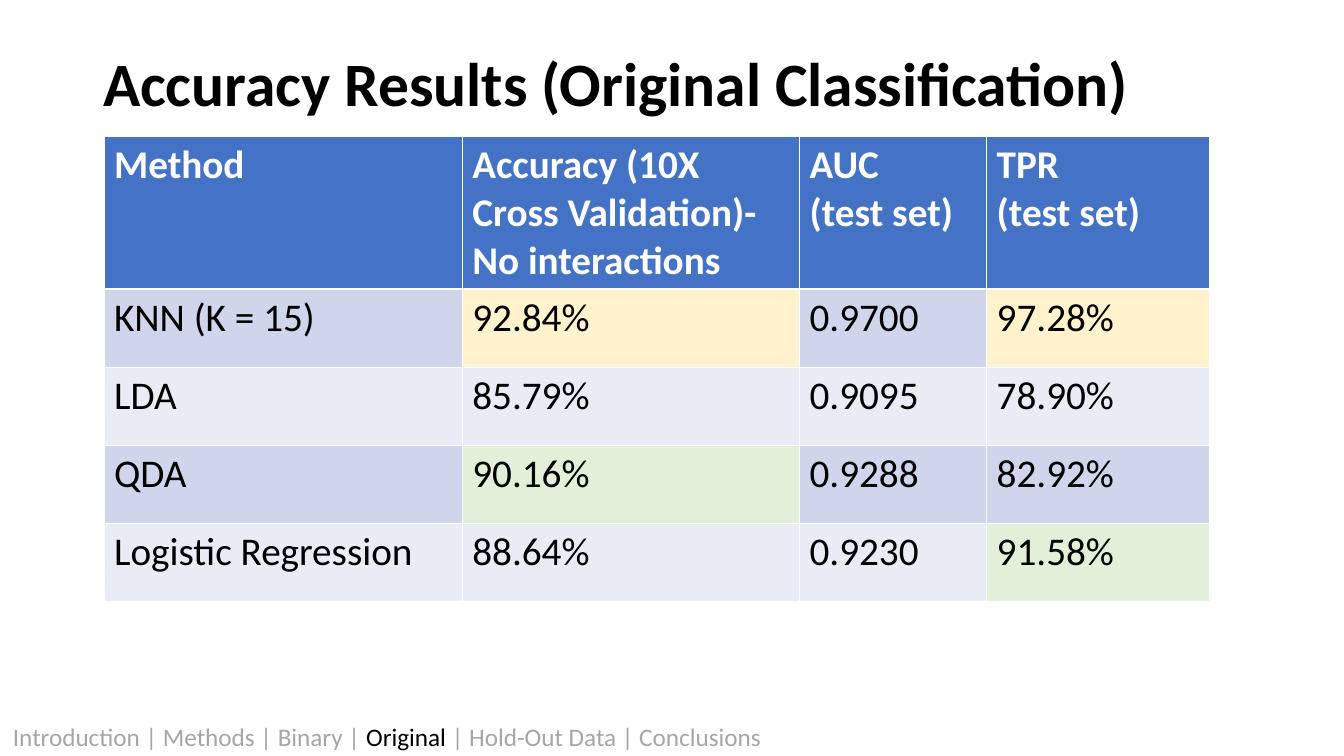
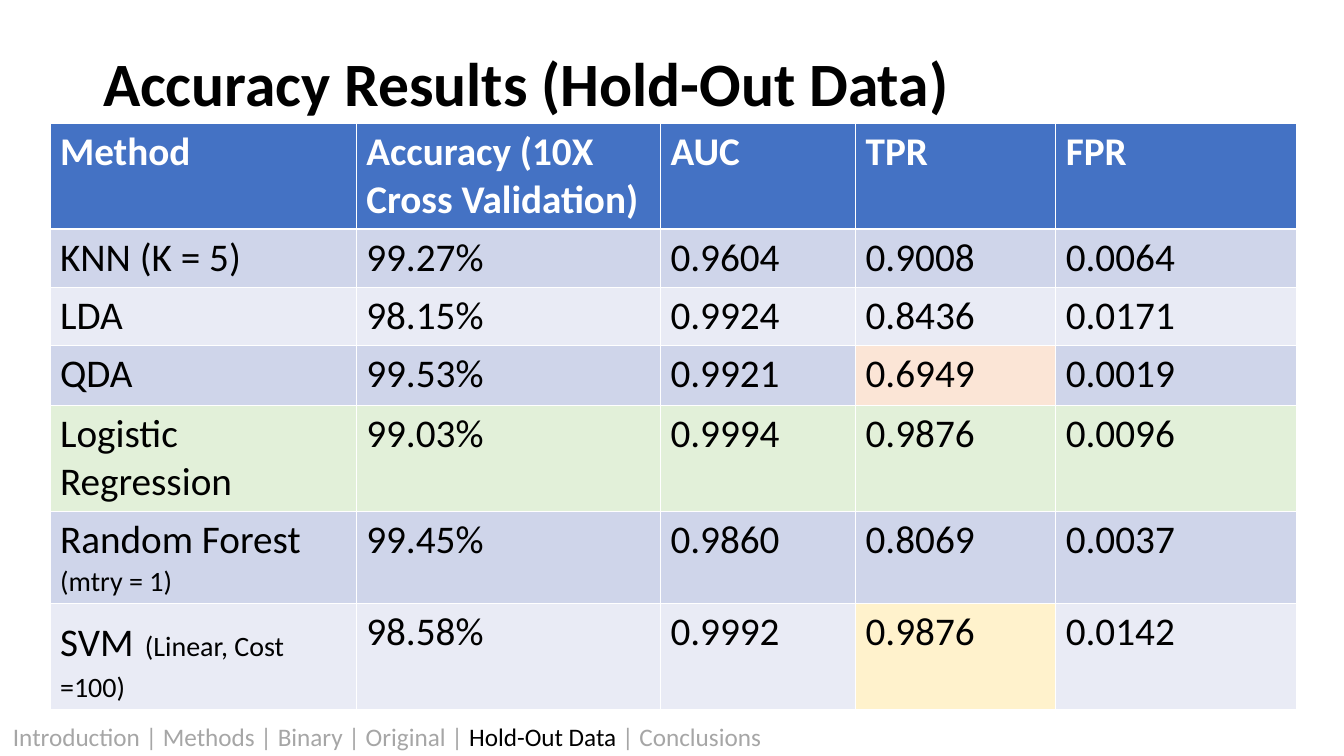
from lxml.etree import SubElement
from pptx import Presentation
from pptx.dml.color import RGBColor
from pptx.enum.text import MSO_ANCHOR, MSO_AUTO_SIZE
from pptx.oxml.ns import qn
from pptx.util import Pt

PX = 9080  # EMU in one px
FONT = "Calibri"
HUES = {
    "ink": "000000", "white": "FFFFFF", "mute": "A6A6A6", "head": "4472C4",
    "dark": "CFD5EA", "pale": "E9EBF5",
    "gold": "FFF2CC", "green": "E2F0D9", "red": "FBE5D6",
}
PARTS = ["Introduction", "Methods", "Binary", "Original", "Hold-Out Data", "Conclusions"]


def hue(name):
    return RGBColor.from_string(HUES[name])


class Deck:
    def __init__(self, wide, high):
        self.prs = Presentation()
        self.prs.slide_width, self.prs.slide_height = wide * PX, high * PX
        self.slide = None

    def page(self, title, part):
        """Start a slide with its title and its section footer."""
        self.slide = self.prs.slides.add_slide(self.prs.slide_layouts[6])
        frame = self.box(93, 13, 1158, 146)
        frame.vertical_anchor = MSO_ANCHOR.MIDDLE
        para = frame.paragraphs[0]
        para.line_spacing = 0.9
        self.put(para, title, 44, "ink", True)
        self.trail(part)

    def box(self, left, top, wide, high):
        shape = self.slide.shapes.add_textbox(left * PX, top * PX, wide * PX, high * PX)
        shape.text_frame.word_wrap = True
        return shape.text_frame

    def style(self, para, size, tint, bold=False):
        font = para.font
        font.name, font.size, font.bold = FONT, Pt(size), bold
        font.color.rgb = hue(tint)

    def put(self, para, text, size, tint, bold=False):
        """Fill a paragraph from a string or from (text, size) runs."""
        self.style(para, size, tint, bold)
        if isinstance(text, str):
            para.add_run().text = text
            return
        for words, points in text:
            run = para.add_run()
            run.text = words
            run.font.size = Pt(points)

    def trail(self, part):
        """Footer that lists the sections, with the current one in black."""
        frame = self.box(3, 715, 1328, 40)
        frame.auto_size = MSO_AUTO_SIZE.SHAPE_TO_FIT_TEXT
        para = frame.paragraphs[0]
        self.style(para, 18, "mute")
        spot = PARTS.index(part)
        before = " | ".join(PARTS[:spot]) + " | "
        after = "| " + " | ".join(PARTS[spot + 1:])
        for text, tint in ((before, "mute"), (part + " ", "ink"), (after, "mute")):
            run = para.add_run()
            run.text = text
            run.font.color.rgb = hue(tint)

    def edge(self, cell, row):
        """White rules, thicker under the header."""
        props = cell._tc.get_or_add_tcPr()
        thick = {0: "lnB", 1: "lnT"}.get(row)
        for side in ("lnL", "lnR", "lnT", "lnB"):
            width = 1.47 if side == thick else 0.45
            line = SubElement(props, qn("a:" + side), w=str(Pt(width)))
            fill = SubElement(line, qn("a:solidFill"))
            SubElement(fill, qn("a:srgbClr"), val=HUES["white"])

    def table(self, left, top, cols, rows, data, marks):
        """Banded table; marks maps (row, column) to a highlight."""
        grid = self.slide.shapes.add_table(
            len(rows), len(cols), left * PX, top * PX, sum(cols) * PX, sum(rows) * PX).table
        grid.horz_banding = False
        for col, wide in enumerate(cols):
            grid.columns[col].width = wide * PX
        for row, high in enumerate(rows):
            grid.rows[row].height = high * PX
            band = "head" if row == 0 else ("pale", "dark")[row % 2]
            for col, text in enumerate(data[row]):
                cell = grid.cell(row, col)
                self.edge(cell, row)
                cell.fill.solid()
                cell.fill.fore_color.rgb = hue(marks.get((row, col), band))
                lines = text.split("\n") if isinstance(text, str) else [text]
                for num, line in enumerate(lines):
                    frame = cell.text_frame
                    para = frame.add_paragraph() if num else frame.paragraphs[0]
                    self.put(para, line, 28, "ink" if row else "white", row == 0)


def main():
    deck = Deck(1343, 755)

    # Original classification
    deck.page("Accuracy Results (Original Classification)", "Original")
    deck.table(104, 136, [358, 337, 187, 222], [153] + [78] * 4, [
        ["Method", "Accuracy (10X Cross Validation)- No interactions",
         "AUC\n(test set)", "TPR\n(test set)"],
        ["KNN (K = 15)", "92.84%", "0.9700", "97.28%"],
        ["LDA", "85.79%", "0.9095", "78.90%"],
        ["QDA", "90.16%", "0.9288", "82.92%"],
        ["Logistic Regression", "88.64%", "0.9230", "91.58%"],
    ], {(1, 1): "gold", (1, 3): "gold", (3, 1): "green", (4, 3): "green"})

    # Hold-out data
    deck.page("Accuracy Results (Hold-Out Data)", "Hold-Out Data")
    marks = {(4, col): "green" for col in range(5)}
    marks.update({(3, 3): "red", (6, 3): "gold"})
    forest = [("Random Forest ", 28), ("(mtry = 1)", 20)]
    vector = [("SVM", 28), (" ", 36), ("(Linear, Cost =100)", 20)]
    deck.table(50, 123, [306, 304, 195, 200, 240], [106, 58, 58, 60, 106, 92, 106], [
        ["Method", "Accuracy (10X Cross Validation)", "AUC", "TPR", "FPR"],
        ["KNN (K = 5)", "99.27%", "0.9604", "0.9008", "0.0064"],
        ["LDA", "98.15%", "0.9924", "0.8436", "0.0171"],
        ["QDA", "99.53%", "0.9921", "0.6949", "0.0019"],
        ["Logistic Regression", "99.03%", "0.9994", "0.9876", "0.0096"],
        [forest, "99.45%", "0.9860", "0.8069", "0.0037"],
        [vector, "98.58%", "0.9992", "0.9876", "0.0142"],
    ], marks)

    deck.prs.save("out.pptx")


if __name__ == "__main__":
    main()
